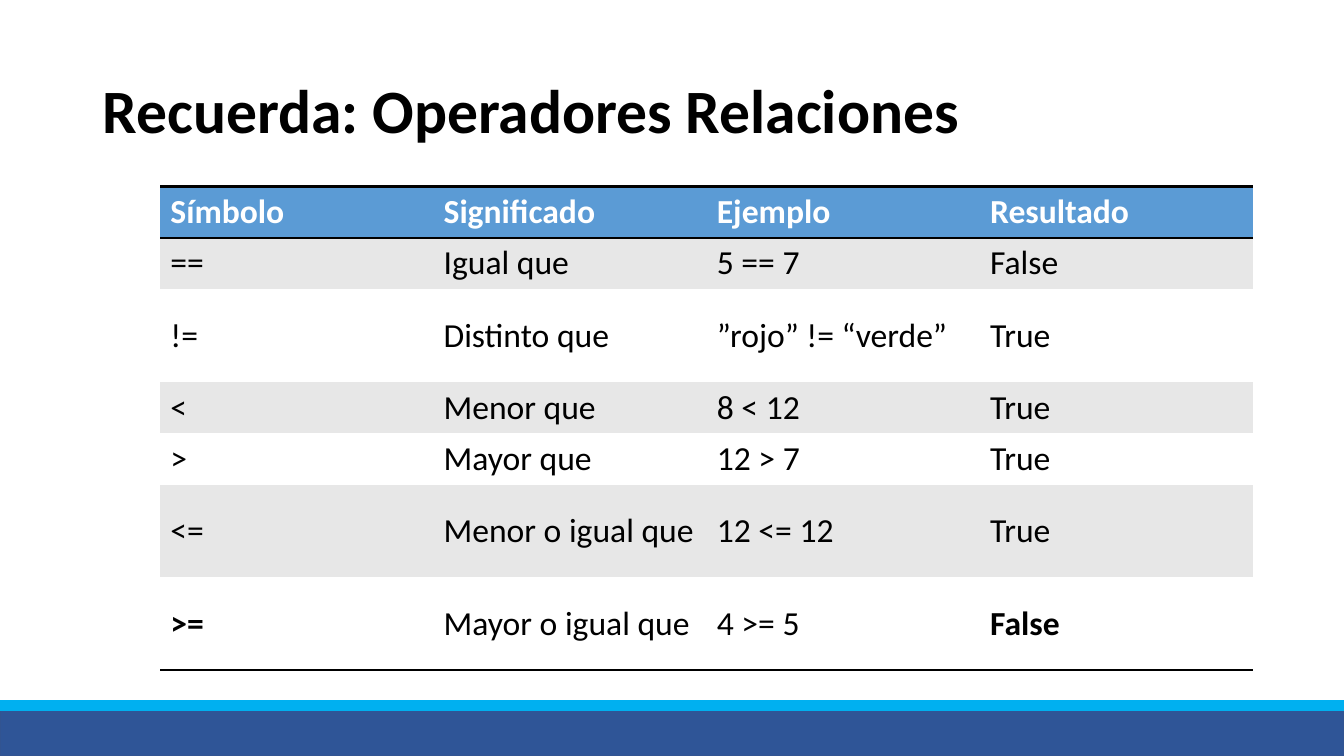
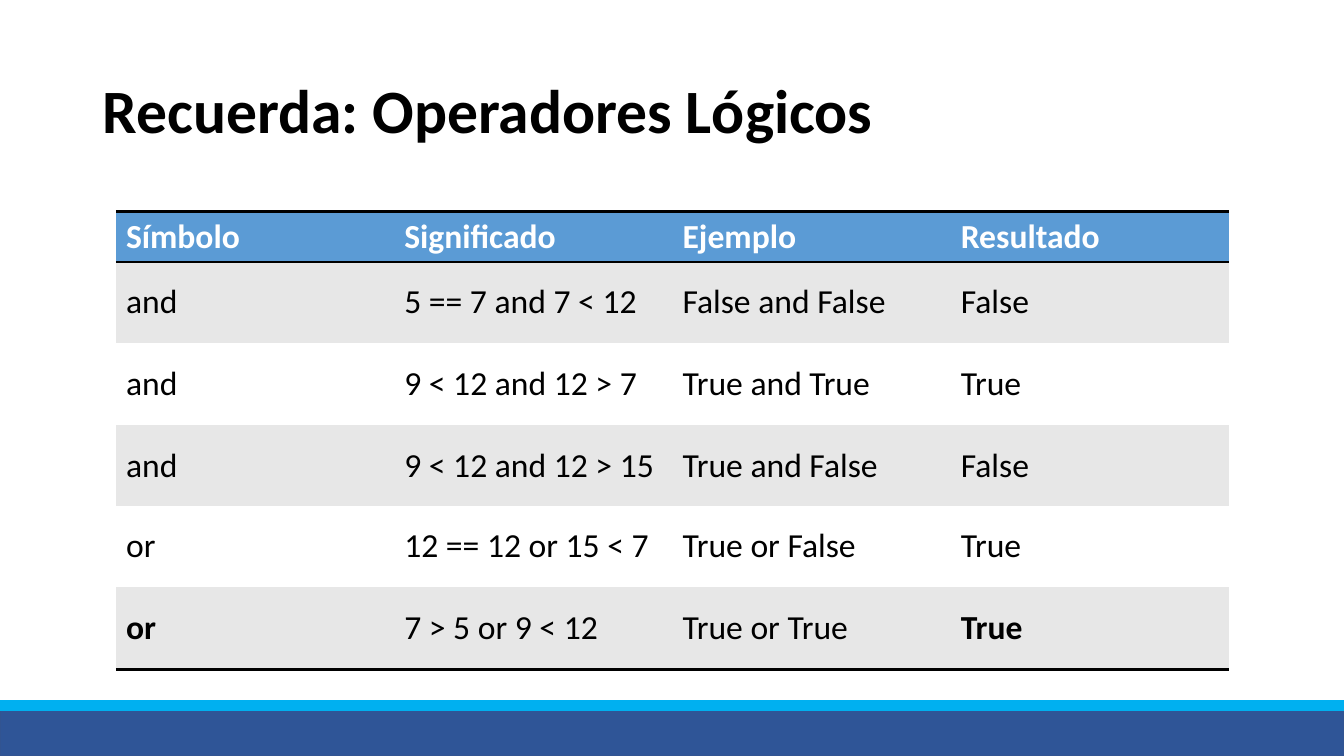
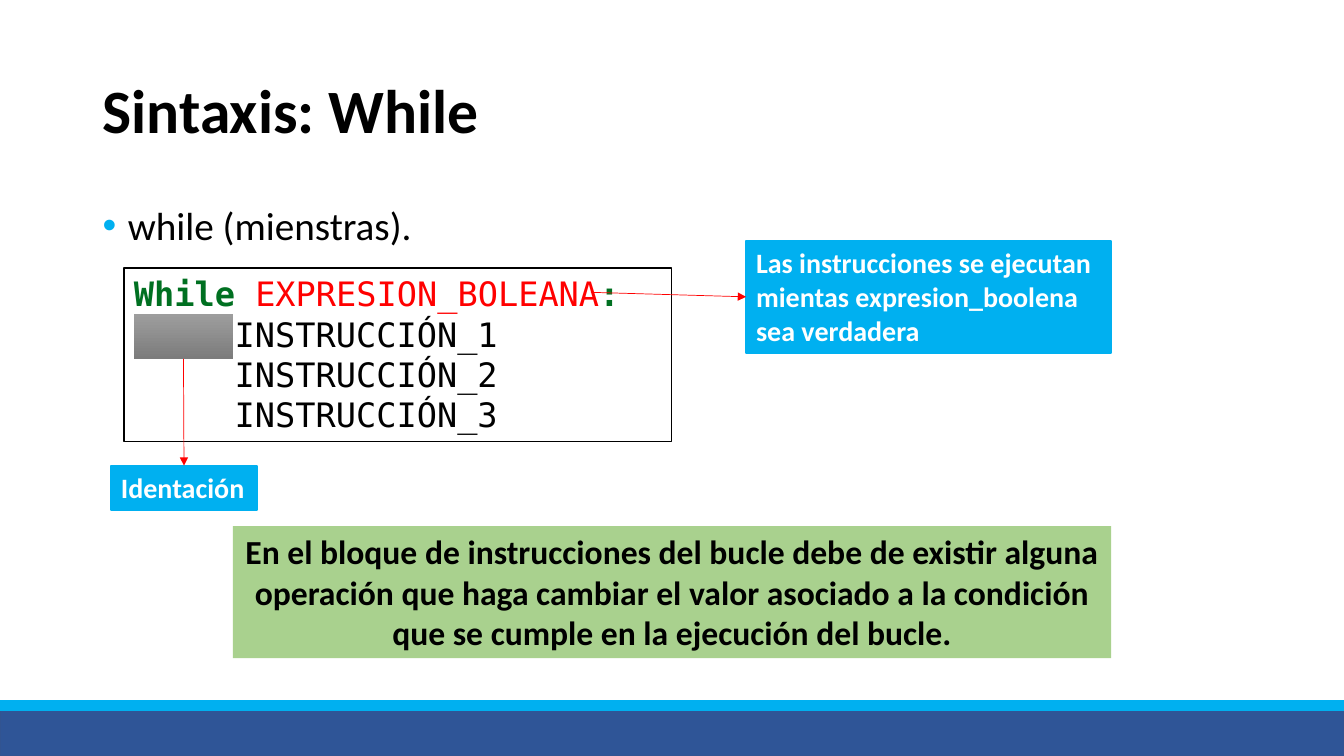
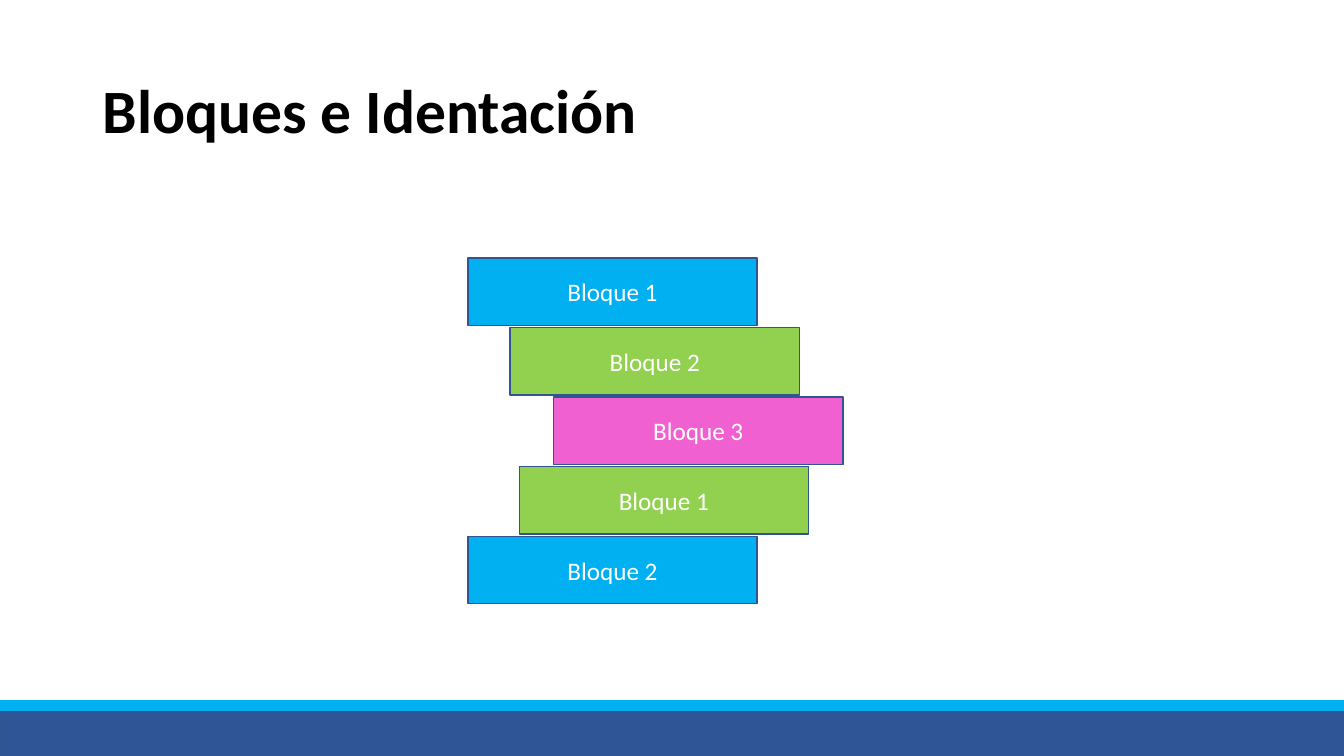
from lxml import etree
from pptx import Presentation
from pptx.dml.color import RGBColor
from pptx.enum.shapes import MSO_CONNECTOR, MSO_SHAPE
from pptx.enum.text import MSO_ANCHOR, PP_ALIGN
from pptx.oxml.ns import qn
from pptx.util import Inches, Pt

RECTANGLE = MSO_SHAPE.RECTANGLE
STRAIGHT = MSO_CONNECTOR.STRAIGHT
TOP, MIDDLE = MSO_ANCHOR.TOP, MSO_ANCHOR.MIDDLE
LEFT, CENTER = PP_ALIGN.LEFT, PP_ALIGN.CENTER
SIDE_TOP, SIDE_LEFT, SIDE_BOTTOM = 0, 1, 2

SANS = "Calibri"
MONO = "DejaVu Sans Mono"
NO_TABLE_STYLE = "{2D5ABB26-0587-4C30-8999-92F81FD0307C}"
COLORS = {
    "black": "000000",
    "white": "FFFFFF",
    "navy": "2F5597",
    "outline": "325491",
    "cyan": "00B0F0",
    "header": "5B9BD5",
    "stripe": "E7E7E7",
    "keyword": "007021",
    "red": "FF0000",
    "sage": "A9D18E",
    "green": "92D050",
    "pink": "F060D0",
    "gray_light": "9D9D9D",
    "gray_dark": "7C7C7C",
}


def rgb(name):
    return RGBColor.from_string(COLORS[name])


def write(para, text, size=24, color="black", bold=False, font=SANS):
    span = para.add_run()
    span.text = text
    span.font.name = font
    span.font.size = Pt(size)
    span.font.bold = bold
    span.font.color.rgb = rgb(color)


class Deck:
    def __init__(self):
        self.deck = Presentation()
        self.deck.slide_width = Inches(13.33)
        self.deck.slide_height = Inches(7.5)
        self.page = None

    def add_page(self, title):
        self.page = self.deck.slides.add_slide(self.deck.slide_layouts[6])
        self.add_box(0, 7.03, 13.33, 0.47, "navy", "outline")
        self.add_box(0, 6.95, 13.33, 0.1, "cyan", "cyan")
        para = self.add_text_area(0.92, 0.4, 11.5, 1.45, MIDDLE)
        write(para, title, size=44, bold=True)

    def add_text_area(self, left, top, width, height, anchor=TOP):
        box = self.page.shapes.add_textbox(
            Inches(left), Inches(top), Inches(width), Inches(height))
        frame = box.text_frame
        frame.word_wrap = True
        frame.vertical_anchor = anchor
        para = frame.paragraphs[0]
        para.line_spacing = 0.9
        return para

    def add_bullet(self, text, left, top, width, height):
        para = self.add_text_area(left, top, width, height)
        para.space_before = Pt(10)
        write(para, text, size=28)
        properties = para._p.get_or_add_pPr()
        properties.set("marL", str(Inches(0.25)))
        properties.set("indent", str(-Inches(0.25)))
        color = etree.SubElement(properties, qn("a:buClr"))
        etree.SubElement(color, qn("a:srgbClr"), val=COLORS["cyan"])
        etree.SubElement(properties, qn("a:buFont"), typeface="Arial")
        etree.SubElement(properties, qn("a:buChar"), char="•")

    def add_box(self, left, top, width, height, fill=None, line=None, weight=1):
        box = self.page.shapes.add_shape(
            RECTANGLE, Inches(left), Inches(top), Inches(width), Inches(height))
        box.shadow.inherit = False
        if fill:
            box.fill.solid()
            box.fill.fore_color.rgb = rgb(fill)
        if line:
            box.line.color.rgb = rgb(line)
            box.line.width = Pt(weight)
        else:
            box.line.fill.background()
        return box

    def fill_box(self, box, lines, align=LEFT, anchor=TOP, **style):
        frame = box.text_frame
        frame.word_wrap = True
        frame.vertical_anchor = anchor
        for index, text in enumerate(lines):
            para = frame.add_paragraph() if index else frame.paragraphs[0]
            para.alignment = align
            write(para, text, **style)

    def add_note(self, left, top, width, height, lines):
        box = self.add_box(left, top, width, height, "cyan", "cyan", 1.5)
        self.fill_box(box, lines, size=20, color="white", bold=True)
        return box

    def add_code(self, left, top, width, height, head, body):
        box = self.add_box(left, top, width, height, "white", "black")
        frame = box.text_frame
        frame.vertical_anchor = TOP
        first = frame.paragraphs[0]
        first.alignment = LEFT
        for text, color, bold in head:
            write(first, text, color=color, bold=bold, font=MONO)
        for text in body:
            para = frame.add_paragraph()
            para.alignment = LEFT
            para._p.get_or_add_pPr().set("marL", str(Inches(1)))
            write(para, text, font=MONO)

    def add_gradient_box(self, left, top, width, height, colors):
        box = self.add_box(left, top, width, height)
        box.fill.gradient()
        box.fill.gradient_angle = 270
        for stop, color in zip(box.fill.gradient_stops, colors):
            stop.color.rgb = rgb(color)
        return box

    def add_arrow(self, start, end, source=None, target=None):
        arrow = self.page.shapes.add_connector(
            STRAIGHT, *(Inches(value) for value in start + end))
        if source:
            arrow.begin_connect(*source)
        if target:
            arrow.end_connect(*target)
        arrow.line.color.rgb = rgb("red")
        arrow.line.width = Pt(0.5)
        properties = arrow._element.spPr
        etree.SubElement(properties.find(qn("a:ln")), qn("a:tailEnd"), type="triangle")
        etree.SubElement(properties, qn("a:effectLst"))

    def add_border(self, cell, side):
        properties = cell._tc.get_or_add_tcPr()
        line = etree.Element(qn(f"a:ln{side}"), w=str(Pt(2)))
        fill = etree.SubElement(line, qn("a:solidFill"))
        etree.SubElement(fill, qn("a:srgbClr"), val=COLORS["black"])
        properties.insert(0, line)

    def add_table(self, left, top, column_width, heights, rows):
        columns = len(rows[0])
        table = self.page.shapes.add_table(
            len(rows), columns, Inches(left), Inches(top),
            Inches(column_width * columns), Inches(sum(heights))).table
        table._tbl.tblPr.find(qn("a:tableStyleId")).text = NO_TABLE_STYLE
        table.horz_banding = False
        for column in table.columns:
            column.width = Inches(column_width)
        last = len(rows) - 1
        for index, (height, texts) in enumerate(zip(heights, rows)):
            table.rows[index].height = Inches(height)
            header = index == 0
            fill = "header" if header else "stripe" if index % 2 else "white"
            for position, text in enumerate(texts):
                cell = table.cell(index, position)
                cell.vertical_anchor = TOP if header else MIDDLE
                cell.fill.solid()
                cell.fill.fore_color.rgb = rgb(fill)
                outer = position in (0, columns - 1)
                write(cell.text_frame.paragraphs[0], text,
                      color="white" if header else "black",
                      bold=header or (index == last and outer))
                if index in (0, last):
                    self.add_border(cell, "B")
                if header:
                    self.add_border(cell, "T")


HEADINGS = ("Símbolo", "Significado", "Ejemplo", "Resultado")
RELATIONAL = [
    HEADINGS,
    ("==", "Igual que", "5 == 7", "False"),
    ("!=", "Distinto que", "”rojo” != “verde”", "True"),
    ("<", "Menor que", "8 < 12", "True"),
    (">", "Mayor que", "12 > 7", "True"),
    ("<=", "Menor o igual que", "12 <= 12", "True"),
    (">=", "Mayor o igual que", "4 >= 5", "False"),
]
LOGICAL = [
    HEADINGS,
    ("and", "5 == 7 and 7 < 12", "False and False", "False"),
    ("and", "9 < 12 and 12 > 7", "True and True", "True"),
    ("and", "9 < 12 and 12 > 15", "True and False", "False"),
    ("or", "12 == 12 or 15 < 7", "True or False", "True"),
    ("or", "7 > 5 or 9 < 12", "True or True", "True"),
]
BLOCKS = [
    ("Bloque 1", 4.64, "cyan"),
    ("Bloque 2", 5.06, "green"),
    ("Bloque 3", 5.49, "pink"),
    ("Bloque 1", 5.15, "green"),
    ("Bloque 2", 4.64, "cyan"),
]


def build_while_page(deck):
    deck.add_page("Sintaxis: While")
    deck.add_bullet("while (mienstras).", 0.92, 2, 11.5, 4.76)
    deck.add_code(
        1.23, 2.66, 5.43, 1.72,
        [("While ", "keyword", True),
         ("EXPRESION_BOLEANA", "red", False),
         (":", "keyword", True)],
        [f"INSTRUCCIÓN_{number}" for number in (1, 2, 3)])
    condition = deck.add_note(7.4, 2.39, 3.62, 1.11, [
        "Las instrucciones se ejecutan mientas expresion_boolena",
        "sea verdadera"])
    warning = deck.add_box(2.31, 5.22, 8.71, 1.31, "sage")
    deck.fill_box(warning, [
        "En el bloque de instrucciones del bucle debe de existir alguna "
        "operación que haga cambiar el valor asociado a la condición "
        "que se cumple en la ejecución del bucle."], align=CENTER, bold=True)
    deck.add_arrow((5.86, 2.9), (7.4, 2.91), target=(condition, SIDE_LEFT))
    indent = deck.add_gradient_box(
        1.33, 3.12, 0.98, 0.44, ("gray_light", "gray_dark"))
    label = deck.add_note(1.1, 4.62, 1.45, 0.44, ["Identación"])
    deck.add_arrow((1.81, 3.56), (1.8, 4.6),
                   source=(indent, SIDE_BOTTOM), target=(label, SIDE_TOP))


def build_blocks_page(deck):
    deck.add_page("Bloques e Identación")
    for index, (text, left, fill) in enumerate(BLOCKS):
        box = deck.add_box(left, 2.56 + 0.69 * index, 2.87, 0.67, fill, "outline")
        deck.fill_box(box, [text], align=CENTER, anchor=MIDDLE, size=18, color="white")


def main():
    deck = Deck()
    deck.add_page("Recuerda: Operadores Relaciones")
    deck.add_table(1.59, 1.85, 2.71, (0.51, 0.51, 0.92, 0.51, 0.51, 0.92, 0.92), RELATIONAL)
    deck.add_page("Recuerda: Operadores Lógicos")
    deck.add_table(1.15, 2.1, 2.76, (0.47, 0.8, 0.82, 0.8, 0.8, 0.82), LOGICAL)
    build_while_page(deck)
    build_blocks_page(deck)
    deck.deck.save("out.pptx")


if __name__ == "__main__":
    main()
